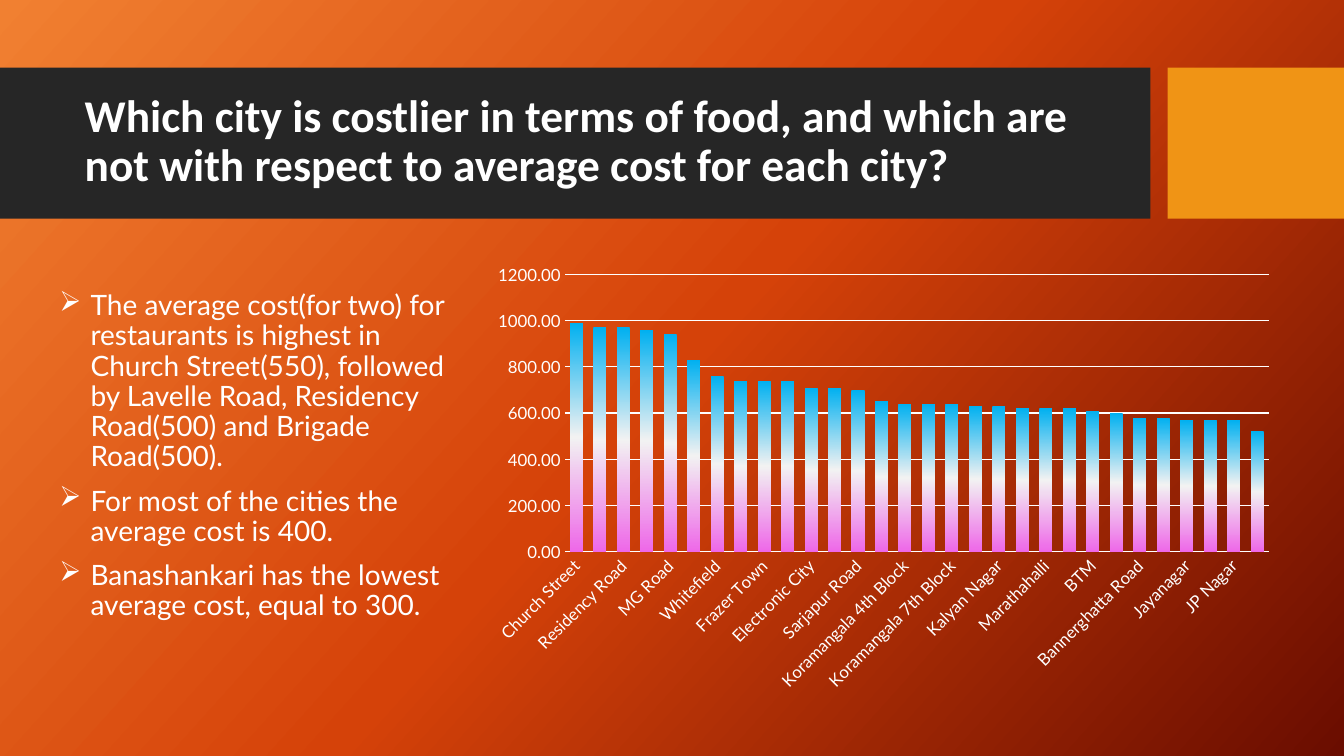
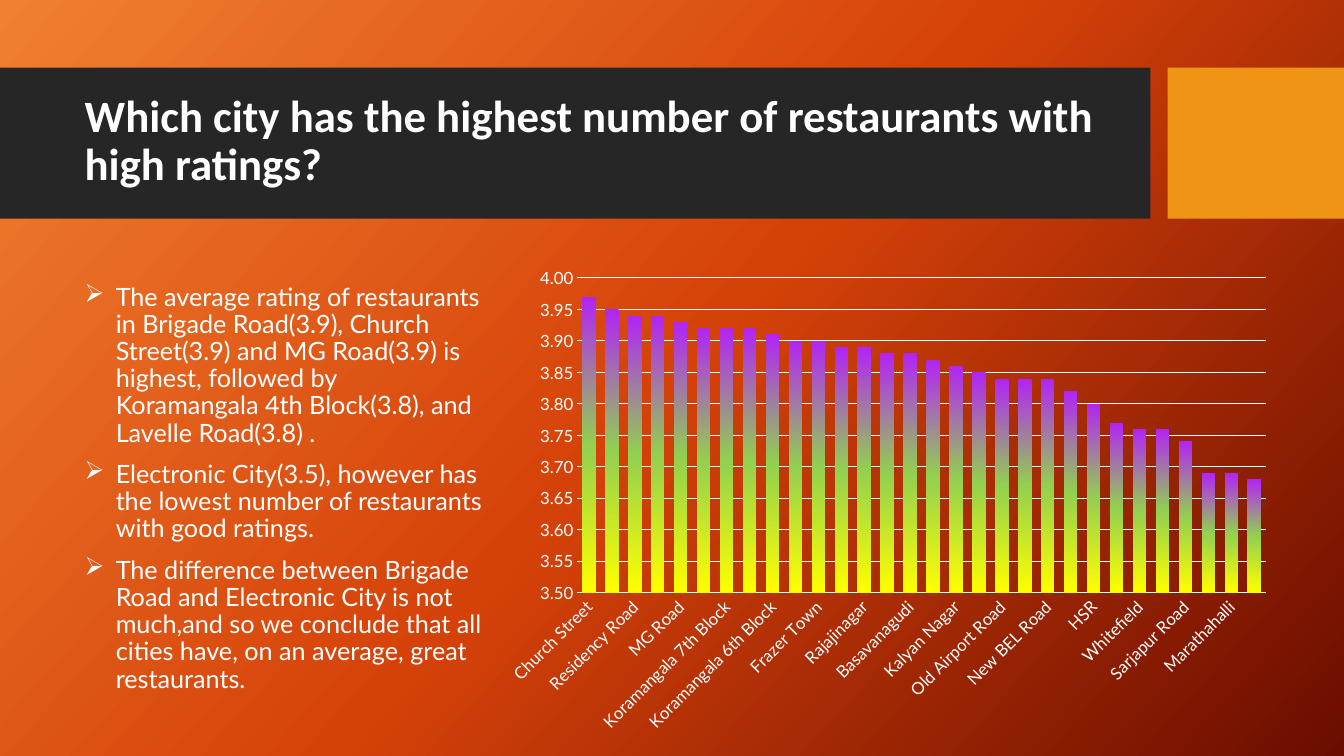
"""Build two slides that compare cities by average food cost and by rating."""
from dataclasses import dataclass

from lxml import etree
from pptx import Presentation
from pptx import util as u
from pptx.chart import data as chart_data
from pptx.dml.color import RGBColor
from pptx.enum import chart as charts, shapes, text
from pptx.oxml import ns

COLORS = {
    "band": "262626", "accent": "F09415", "white": "FFFFFF",
    "glow": "F18031", "orange": "D54209", "maroon": "6A0D00",
    "blue": "00B0F0", "pale": "F2F2F2", "pink": "EE68E8",
    "purple": "B124F5", "green": "92D050", "yellow": "FFFF00",
}
TITLE_FONT, BODY_FONT = "Calibri", "Lato"
LINE_SPACING = 0.9
BAND_TOP, BAND_HEIGHT = 0.67, 1.5
BULLET_INDENT = 0.31


@dataclass(frozen=True)
class Frame:
    left: float
    top: float
    width: float
    height: float

    def lengths(self) -> list[u.Length]:
        return [u.Inches(side) for side in
                (self.left, self.top, self.width, self.height)]


@dataclass(frozen=True)
class Bars:
    frame: Frame
    plot: Frame
    values: dict[str, float]
    gradient: tuple[str, ...]
    gap: int
    low: float
    high: float
    step: float


@dataclass(frozen=True)
class CitySlide:
    title: str
    title_size: float
    body_frame: Frame
    body_size: float
    bullets: tuple[str, ...]
    bars: Bars


TITLE_FRAME = Frame(0.74, 0.82, 10.51, 1.18)
BANDS = (
    (Frame(0, BAND_TOP, 11.41, BAND_HEIGHT), "band"),
    (Frame(11.58, BAND_TOP, 1.75, BAND_HEIGHT), "accent"),
)

COSTS = {
    "Church Street": 990, "Lavelle Road": 970, "Residency Road": 970,
    "Brigade Road": 960, "MG Road": 940, "Indiranagar": 830,
    "Whitefield": 760, "Malleshwaram": 740, "Frazer Town": 740,
    "Old Airport Road": 740, "Electronic City": 710, "Bellandur": 710,
    "Sarjapur Road": 700, "Brookefield": 650, "Koramangala 4th Block": 640,
    "Rajajinagar": 640, "Koramangala 7th Block": 640,
    "Koramangala 5th Block": 630, "Kalyan Nagar": 630,
    "Koramangala 6th Block": 620, "Marathahalli": 620, "Kammanahalli": 620,
    "BTM": 610, "New BEL Road": 600, "Bannerghatta Road": 580, "HSR": 580,
    "Jayanagar": 570, "Basavanagudi": 570, "JP Nagar": 570,
    "Banashankari": 520,
}
RATINGS = {
    "Church Street": 3.97, "Brigade Road": 3.95, "Residency Road": 3.94,
    "Lavelle Road": 3.94, "MG Road": 3.93, "Koramangala 5th Block": 3.92,
    "Koramangala 7th Block": 3.92, "Koramangala 4th Block": 3.92,
    "Koramangala 6th Block": 3.91, "Malleshwaram": 3.9, "Frazer Town": 3.9,
    "BTM": 3.89, "Rajajinagar": 3.89, "Indiranagar": 3.88,
    "Basavanagudi": 3.88, "Jayanagar": 3.87, "Kalyan Nagar": 3.86,
    "Kammanahalli": 3.85, "Old Airport Road": 3.84, "Banashankari": 3.84,
    "New BEL Road": 3.84, "JP Nagar": 3.82, "HSR": 3.8, "Bellandur": 3.77,
    "Whitefield": 3.76, "Bannerghatta Road": 3.76, "Sarjapur Road": 3.74,
    "Electronic City": 3.69, "Marathahalli": 3.69, "Brookefield": 3.68,
}

SLIDES = (
    CitySlide(
        "Which city is costlier in terms of food, and which are not with "
        "respect to average cost for each city?",
        32.4, Frame(0.49, 2.56, 4.14, 3.94), 20,
        ("The average cost(for two) for restaurants is highest in Church "
         "Street(550), followed by Lavelle Road, Residency Road(500) and "
         "Brigade Road(500).",
         "For most of the cities the average cost is 400.",
         "Banashankari has the lowest average cost, equal to 300."),
        Bars(Frame(4.78, 2.56, 7.81, 4.49), Frame(0.105, 0.036, 0.895, 0.613),
             COSTS, ("blue", "pale", "pink"), 80, 0, 1200, 200),
    ),
    CitySlide(
        "Which city has the highest number of restaurants with high ratings?",
        32, Frame(0.74, 2.56, 4.14, 4.58), 18,
        ("The average rating of restaurants in Brigade Road(3.9), Church "
         "Street(3.9) and MG Road(3.9) is highest, followed by Koramangala "
         "4th Block(3.8), and Lavelle Road(3.8) .",
         "Electronic City(3.5), however has the lowest number of restaurants "
         "with good ratings.",
         "The difference between Brigade Road and Electronic City is not "
         "much,and so we conclude that all cities have, on an average, great "
         "restaurants."),
        Bars(Frame(4.89, 2.57, 7.82, 4.77), Frame(0.107, 0.039, 0.873, 0.655),
             RATINGS, ("purple", "green", "yellow"), 70, 3.5, 4, 0.05),
    ),
)


def color(name: str) -> RGBColor:
    return RGBColor.from_string(COLORS[name])


def style_font(font, name: str, size: float, bold: bool = False) -> None:
    font.name, font.size, font.bold = name, u.Pt(size), bold
    font.color.rgb = color("white")


def set_gradient(fill, root, names: tuple[str, ...], angle: int) -> None:
    fill.gradient()
    gradient = next(root.iter(ns.qn("a:gradFill")))
    for child in list(gradient):
        gradient.remove(child)
    stops = etree.SubElement(gradient, ns.qn("a:gsLst"))
    for index, name in enumerate(names):
        position = 100000 * index // (len(names) - 1)
        stop = etree.SubElement(stops, ns.qn("a:gs"), pos=str(position))
        etree.SubElement(stop, ns.qn("a:srgbClr"), val=COLORS[name])
    etree.SubElement(gradient, ns.qn("a:lin"), ang=str(angle * 60000), scaled="0")


def style_layout(layout, page) -> None:
    set_gradient(layout.background.fill, layout.element,
                 ("glow", "orange", "maroon"), 42)
    for frame, name in BANDS:
        band = page.shapes.add_shape(shapes.MSO_SHAPE.RECTANGLE, *frame.lengths())
        band.shadow.inherit = False
        band.fill.solid()
        band.fill.fore_color.rgb = color(name)
        band.line.fill.background()
        layout.shapes.element.insert(2, band.element)


def write_title(page, content: CitySlide) -> None:
    title = page.shapes.title
    title.left, title.top, title.width, title.height = TITLE_FRAME.lengths()
    frame = title.text_frame
    frame.text = content.title
    frame.auto_size = text.MSO_AUTO_SIZE.NONE
    frame.vertical_anchor = text.MSO_ANCHOR.MIDDLE
    para = frame.paragraphs[0]
    para.alignment = text.PP_ALIGN.LEFT
    para.line_spacing = LINE_SPACING
    style_font(para.runs[0].font, TITLE_FONT, content.title_size, bold=True)


def write_bullets(page, content: CitySlide) -> None:
    frame = page.shapes.add_textbox(*content.body_frame.lengths()).text_frame
    frame.text = "\n".join(content.bullets)
    frame.word_wrap = True
    frame.vertical_anchor = text.MSO_ANCHOR.MIDDLE
    indent = u.Inches(BULLET_INDENT)
    for index, para in enumerate(frame.paragraphs):
        properties = para._p.get_or_add_pPr()
        properties.set("marL", str(indent))
        properties.set("indent", str(-indent))
        etree.SubElement(properties, ns.qn("a:buChar"), char="➢")
        para.line_spacing = LINE_SPACING
        para.space_before = u.Pt(10 if index else 0)
        style_font(para.runs[0].font, BODY_FONT, content.body_size)


def place_plot(chart, plot: Frame) -> None:
    area = next(chart.element.iter(ns.qn("c:plotArea")))
    for old in area.findall(ns.qn("c:layout")):
        area.remove(old)
    layout = etree.Element(ns.qn("c:layout"))
    manual = etree.SubElement(layout, ns.qn("c:manualLayout"))
    settings = {"layoutTarget": "inner", "xMode": "edge", "yMode": "edge",
                "x": plot.left, "y": plot.top, "w": plot.width, "h": plot.height}
    for tag, value in settings.items():
        etree.SubElement(manual, ns.qn(f"c:{tag}"), val=str(value))
    area.insert(0, layout)


def draw_bars(page, bars: Bars) -> None:
    source = chart_data.CategoryChartData(number_format="0.00")
    source.categories = list(bars.values)
    source.add_series("Series 1", list(bars.values.values()))
    chart = page.shapes.add_chart(charts.XL_CHART_TYPE.COLUMN_CLUSTERED,
                                  *bars.frame.lengths(), source).chart
    chart.has_title = chart.has_legend = False
    style_font(chart.font, BODY_FONT, 10)
    plot = chart.plots[0]
    plot.gap_width, plot.vary_by_categories = bars.gap, False
    set_gradient(plot.series[0].format.fill, chart.element, bars.gradient, 90)
    for axis in (chart.category_axis, chart.value_axis):
        axis.major_tick_mark = axis.minor_tick_mark = charts.XL_TICK_MARK.NONE
        axis.format.line.fill.background()
        style_font(axis.tick_labels.font, BODY_FONT, 12)
    labels = next(chart.category_axis._element.iter(ns.qn("a:bodyPr")))
    labels.set("rot", "-60000000")
    labels.set("vert", "horz")
    scale = chart.value_axis
    scale.minimum_scale, scale.maximum_scale = bars.low, bars.high
    scale.major_unit = bars.step
    scale.tick_labels.number_format = "0.00"
    scale.tick_labels.number_format_is_linked = False
    grid = scale.major_gridlines.format.line
    grid.color.rgb, grid.width = color("white"), u.Pt(0.75)
    place_plot(chart, bars.plot)


def main() -> None:
    deck = Presentation()
    deck.slide_width, deck.slide_height = u.Inches(13.33), u.Inches(7.5)
    layout = deck.slide_layouts.get_by_name("Title Only")
    pages = [deck.slides.add_slide(layout) for _ in SLIDES]
    style_layout(layout, pages[0])
    for page, content in zip(pages, SLIDES):
        write_title(page, content)
        draw_bars(page, content.bars)
        write_bullets(page, content)
    deck.save("out.pptx")


if __name__ == "__main__":
    main()
